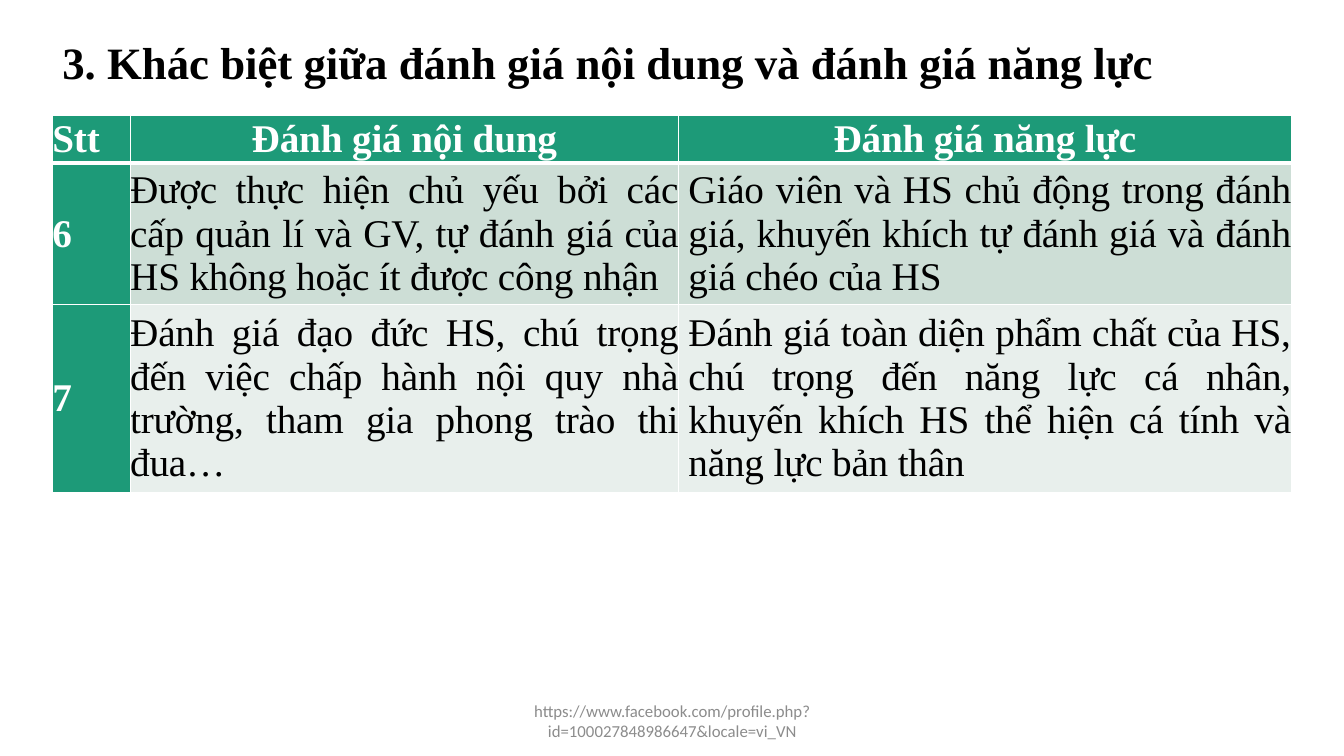
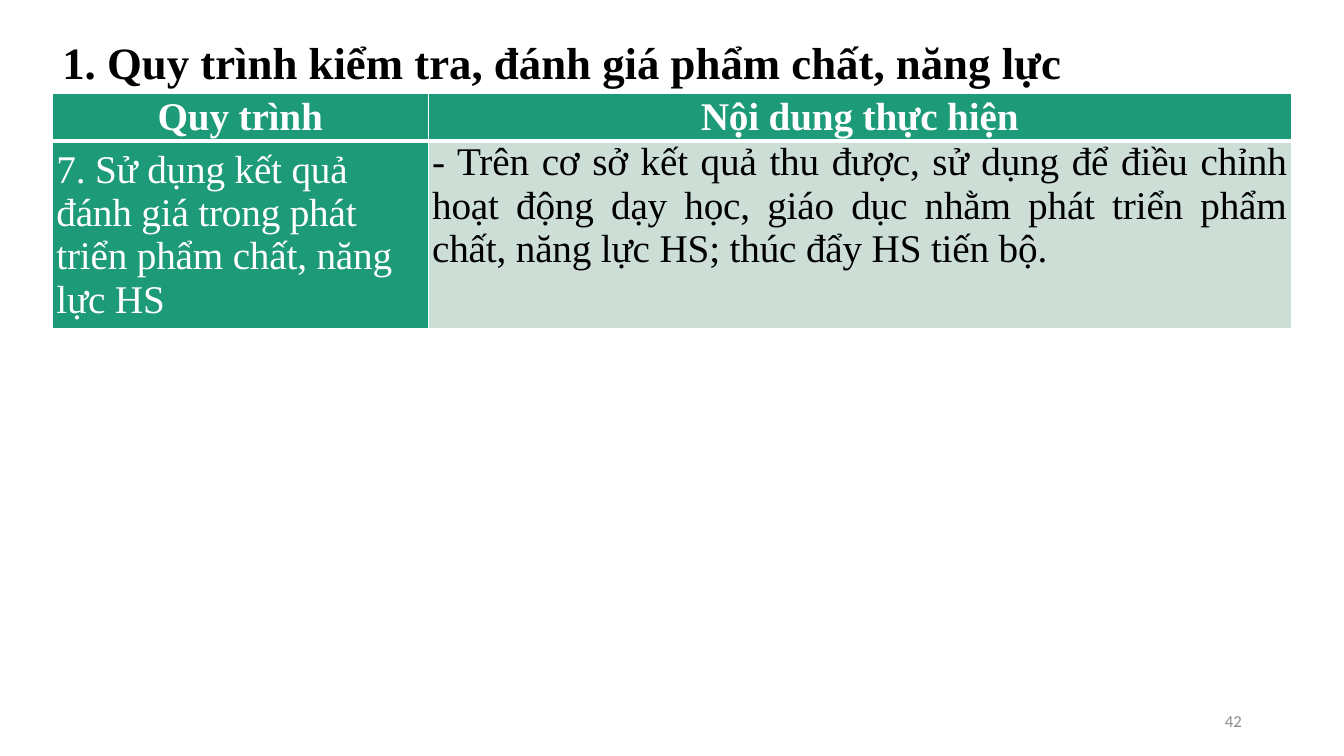
from dataclasses import dataclass

from lxml.etree import SubElement
from pptx import Presentation
from pptx.dml.color import RGBColor
from pptx.enum.text import MSO_ANCHOR as Anchor, PP_ALIGN as Align
from pptx.oxml.ns import qn
from pptx.util import Cm, Pt

COLORS = {
    "black": "000000",
    "white": "FFFFFF",
    "gray": "8C8C8C",
    "green": "1D9A78",
    "band_dark": "CDDED6",
    "band_light": "E8EFEC",
}
SERIF, SANS = "Times New Roman", "Calibri"
LEFT = 1.32


@dataclass
class Cell:
    text: str
    align: Align = Align.JUSTIFY
    fill: str = "green"
    color: str = "white"
    bold: bool = True
    anchor: Anchor = Anchor.MIDDLE
    indent: float = 0


@dataclass
class Grid:
    top: float
    cols: list[float]
    rows: list[float]
    side_margin: float
    cells: list[list[Cell]]


@dataclass
class Footer:
    text: str
    left: float
    width: float
    align: Align


def rgb(name: str) -> RGBColor:
    return RGBColor.from_string(COLORS[name])


def add_run(p, text: str, font: str, size: float, color: str, bold: bool = False):
    r = p.add_run()
    r.text = text
    r.font.name, r.font.size, r.font.bold = font, Pt(size), bold
    r.font.color.rgb = rgb(color)
    return r


def add_text_box(s, left: float, top: float, width: float, height: float, align: Align):
    """Add an empty, vertically centred box and return its first paragraph."""
    tf = s.shapes.add_textbox(Cm(left), Cm(top), Cm(width), Cm(height)).text_frame
    tf.word_wrap = True
    tf.vertical_anchor = Anchor.MIDDLE
    p = tf.paragraphs[0]
    p.alignment = align
    return p


def add_title(s, text: str) -> None:
    p = add_text_box(s, LEFT, 0.89, 30.91, 1.5, Align.LEFT)
    p.line_spacing = 0.9
    add_run(p, text, SERIF, 32, "black", bold=True)


def add_footer(s, footer: Footer) -> None:
    p = add_text_box(s, footer.left, 17.65, footer.width, 1.02, footer.align)
    add_run(p, footer.text, SANS, 12, "gray")


def set_borders(cell, row: int) -> None:
    """Draw thin white borders, with a thick line under the header row."""
    widths = {"lnL": 1, "lnR": 1, "lnT": 3 if row == 1 else 1, "lnB": 3 if row == 0 else 1}
    tc_pr = cell._tc.get_or_add_tcPr()
    for tag, width in widths.items():
        ln = SubElement(tc_pr, qn(f"a:{tag}"), w=str(Pt(width)))
        fill = SubElement(ln, qn("a:solidFill"))
        SubElement(fill, qn("a:srgbClr"), val=COLORS["white"])


def fill_cell(cell, item: Cell, row: int, side_margin: float) -> None:
    set_borders(cell, row)
    cell.fill.solid()
    cell.fill.fore_color.rgb = rgb(item.fill)
    cell.margin_left = cell.margin_right = Cm(side_margin)
    cell.margin_top = cell.margin_bottom = 0
    cell.vertical_anchor = item.anchor
    p = cell.text_frame.paragraphs[0]
    p.alignment = item.align
    if item.indent:
        p._p.get_or_add_pPr().set("marL", str(Cm(item.indent)))
    r = add_run(p, item.text, SERIF, 28, item.color, item.bold)
    r._r.get_or_add_rPr().set("spc", "-10")


def add_grid(s, grid: Grid) -> None:
    table = s.shapes.add_table(
        len(grid.rows), len(grid.cols),
        Cm(LEFT), Cm(grid.top), Cm(sum(grid.cols)), Cm(sum(grid.rows)),
    ).table
    table.first_row = table.horz_banding = False
    for col, width in zip(table.columns, grid.cols):
        col.width = Cm(width)
    for i, (height, items) in enumerate(zip(grid.rows, grid.cells)):
        table.rows[i].height = Cm(height)
        for j, item in enumerate(items):
            fill_cell(table.cell(i, j), item, i, grid.side_margin)


def header(text: str) -> Cell:
    return Cell(text, Align.CENTER)


def body(text: str, fill: str, indent: float = 0, anchor: Anchor = Anchor.MIDDLE) -> Cell:
    return Cell(text, fill=fill, color="black", bold=False, indent=indent, anchor=anchor)


def comparison_row(number: str, content: str, competence: str, fill: str) -> list[Cell]:
    return [Cell(number), body(content, fill), body(competence, fill, indent=0.25)]


COMPARISON = Grid(2.92, [1.96, 13.82, 15.44], [1.19, 3.56, 4.72], 0, [
    [Cell("Stt"), header("Đánh giá nội dung"), header("Đánh giá năng lực")],
    comparison_row(
        "6",
        "Được thực hiện chủ yếu bởi các cấp quản lí và GV, tự đánh giá của HS "
        "không hoặc ít được công nhận",
        "Giáo viên và HS chủ động trong đánh giá, khuyến khích tự đánh giá và "
        "đánh giá chéo của HS",
        "band_dark",
    ),
    comparison_row(
        "7",
        "Đánh giá đạo đức HS, chú trọng đến việc chấp hành nội quy nhà trường, "
        "tham gia phong trào thi đua…",
        "Đánh giá toàn diện phẩm chất của HS, chú trọng đến năng lực cá nhân, "
        "khuyến khích HS thể hiện cá tính và năng lực bản thân",
        "band_light",
    ),
])

PROCESS = Grid(2.36, [9.47, 21.75], [1.09, 4.4], 0.1, [
    [header("Quy trình"), header("Nội dung thực hiện")],
    [
        Cell("7. Sử dụng kết quả đánh giá trong phát triển phẩm chất, năng lực HS",
             Align.LEFT, bold=False),
        body("- Trên cơ sở kết quả thu được, sử dụng để điều chỉnh hoạt động dạy học, "
             "giáo dục nhằm phát triển phẩm chất, năng lực HS; thúc đẩy HS tiến bộ.",
             "band_dark", anchor=Anchor.TOP),
    ],
])

SLIDES = [
    (
        "3. Khác biệt giữa đánh giá nội dung và đánh giá năng lực",
        COMPARISON,
        Footer("https://www.facebook.com/profile.php?id=100027848986647&locale=vi_VN",
               11.23, 11.43, Align.CENTER),
    ),
    (
        "1. Quy trình kiểm tra, đánh giá phẩm chất, năng lực",
        PROCESS,
        Footer("42", 23.93, 7.62, Align.RIGHT),
    ),
]


def main() -> None:
    prs = Presentation()
    prs.slide_width, prs.slide_height = Cm(33.87), Cm(19.05)
    for title, grid, footer in SLIDES:
        s = prs.slides.add_slide(prs.slide_layouts[6])
        add_title(s, title)
        add_grid(s, grid)
        add_footer(s, footer)
    prs.save("out.pptx")


if __name__ == "__main__":
    main()
